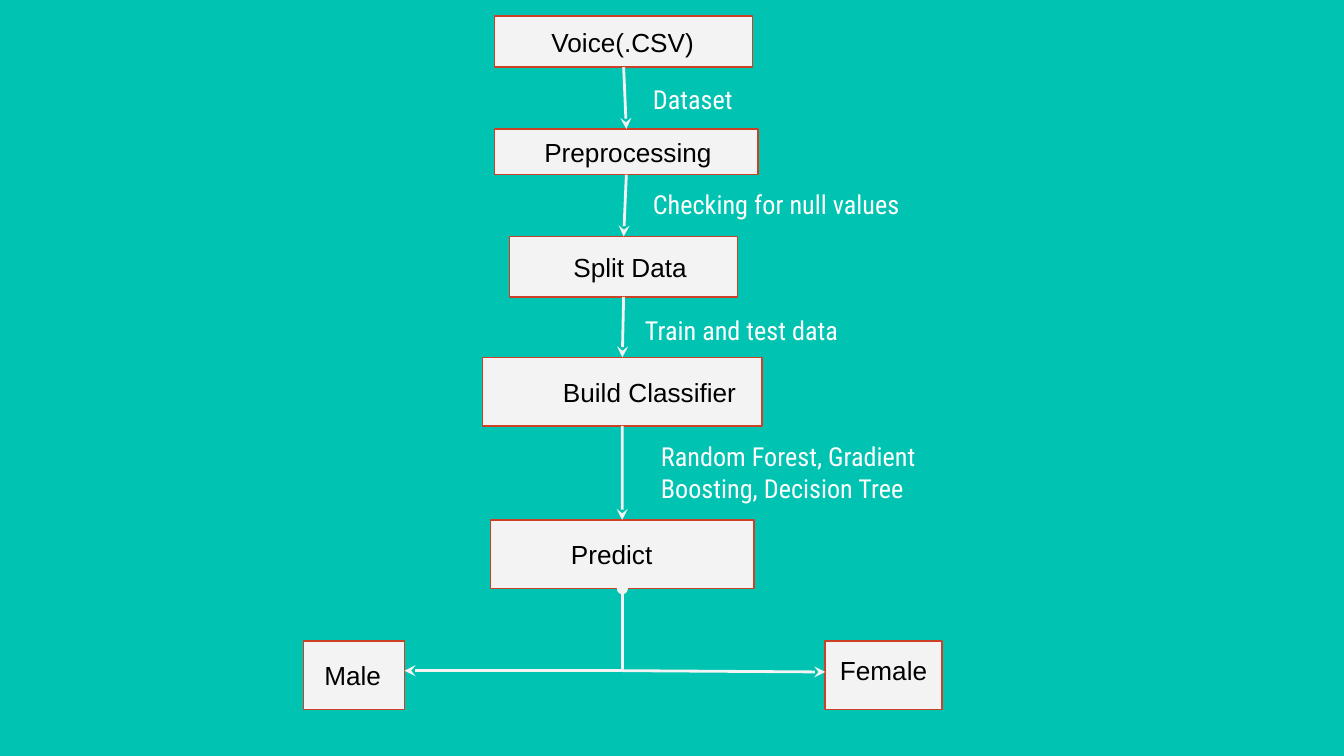
"""Build the voice classification flowchart slide."""
from dataclasses import dataclass

from lxml import etree
from pptx import Presentation
from pptx import util as u
from pptx.dml.color import RGBColor
from pptx.enum import shapes, text
from pptx.oxml.ns import qn


@dataclass(frozen=True)
class Theme:
    """Colours, fonts and sizes of the flowchart."""
    background: str = "00C3B1"
    panel: str = "F3F3F3"
    border: str = "CC4125"
    ink: str = "000000"
    note: str = "FFFFFF"
    step_font: str = "Arial"
    note_font: str = "Roboto Condensed"
    size: float = 14
    inset: float = 7.2
    border_width: float = 0.75
    arrow_width: float = 1.5


THEME = Theme()

STEPS = [
    ("Voice(.CSV)", (265, 8.6, 138.2, 27.4), 23.3),
    ("Preprocessing", (265, 69.1, 141.1, 24.5), 19.5),
    ("Split Data", (272.9, 126.7, 122.4, 32.4), 27.2),
    ("Build Classifier", (258.5, 191.5, 149.8, 36.7), 36),
    ("Predict", (262.8, 278.6, 141.1, 36.7), 36),
]

NOTES = [
    ("Dataset", (342.7, 37.4, 157.7, 31.7)),
    ("Checking for null values", (342.7, 93.6, 157.7, 48.2)),
    ("Train and test data", (338.4, 161.3, 157.7, 31.7)),
    ("Random Forest, Gradient Boosting, Decision Tree", (347, 229, 157.7, 48.2)),
]


def points(values):
    """Convert numbers to point lengths."""
    return [u.Pt(value) for value in values]


def write(box, words, font, color):
    """Put one formatted paragraph in a box and return it."""
    frame = box.text_frame
    frame.word_wrap = True
    frame.margin_left = frame.margin_right = u.Pt(THEME.inset)
    frame.margin_top = frame.margin_bottom = u.Pt(THEME.inset)
    para = frame.paragraphs[0]
    para.text = words
    para.alignment = text.PP_ALIGN.LEFT
    para.font.name = font
    para.font.size = u.Pt(THEME.size)
    para.font.color.rgb = RGBColor.from_string(color)
    return para


def add_step(page, words, place, indent=0):
    """Add a bordered box with a first-line indent."""
    box = page.shapes.add_shape(shapes.MSO_SHAPE.RECTANGLE, *points(place))
    box.shadow.inherit = False
    box.fill.solid()
    box.fill.fore_color.rgb = RGBColor.from_string(THEME.panel)
    box.line.color.rgb = RGBColor.from_string(THEME.border)
    box.line.width = u.Pt(THEME.border_width)
    box.text_frame.vertical_anchor = text.MSO_ANCHOR.MIDDLE
    para = write(box, words, THEME.step_font, THEME.ink)
    para._p.get_or_add_pPr().set("indent", str(u.Pt(indent)))
    return box


def add_note(page, words, place):
    """Add a label beside an arrow."""
    box = page.shapes.add_textbox(*points(place))
    write(box, words, THEME.note_font, THEME.note)
    box.text_frame.auto_size = text.MSO_AUTO_SIZE.SHAPE_TO_FIT_TEXT


def add_arrow(page, start, end, kind=shapes.MSO_CONNECTOR.STRAIGHT, head="none"):
    """Add a connector that ends in a stealth arrowhead."""
    arrow = page.shapes.add_connector(kind, *points((*start, *end)))
    arrow.line.color.rgb = RGBColor.from_string(THEME.panel)
    arrow.line.width = u.Pt(THEME.arrow_width)
    properties = arrow._element.spPr
    line = properties.find(qn("a:ln"))
    etree.SubElement(line, qn("a:headEnd"), type=head)
    etree.SubElement(line, qn("a:tailEnd"), type="stealth")
    etree.SubElement(properties, qn("a:effectLst"))
    return arrow


def add_corner_arrow(page, start, end):
    """Add an arrow that runs down and then left, as a quarter-turned bend."""
    (x1, y1), (x2, y2) = start, end
    middle_x, middle_y = (x1 + x2) / 2, (y1 + y2) / 2
    half_drop, half_reach = (y2 - y1) / 2, (x1 - x2) / 2
    arrow = add_arrow(
        page,
        (middle_x - half_drop, middle_y - half_reach),
        (middle_x + half_drop, middle_y + half_reach),
        shapes.MSO_CONNECTOR.ELBOW,
        "oval",
    )
    properties = arrow._element.spPr
    properties.find(qn("a:prstGeom")).set("prst", "bentConnector2")
    properties.find(qn("a:xfrm")).set("rot", "5400000")


def main():
    """Build and save the deck."""
    deck = Presentation()
    deck.slide_width, deck.slide_height = points((720, 405))
    page = deck.slides.add_slide(deck.slide_layouts[6])
    page.background.fill.solid()
    page.background.fill.fore_color.rgb = RGBColor.from_string(THEME.background)

    steps = [add_step(page, *step) for step in STEPS]
    for note in NOTES:
        add_note(page, *note)

    add_step(page, "Male", (162.7, 343.4, 54, 36.7), 3.9)
    female = add_step(page, "Female", (442.1, 343.4, 62.6, 36.7))
    female.text_frame.vertical_anchor = text.MSO_ANCHOR.TOP
    female.text_frame.paragraphs[0].alignment = text.PP_ALIGN.CENTER

    add_corner_arrow(page, (333.4, 315.4), (216.7, 359.3))
    add_arrow(page, (333.4, 359.3), (442.1, 360))
    for upper, lower in zip(steps, steps[1:]):
        arrow = add_arrow(page, (0, 0), (0, 0))
        arrow.begin_connect(upper, 2)
        arrow.end_connect(lower, 0)

    deck.save("out.pptx")


if __name__ == "__main__":
    main()
